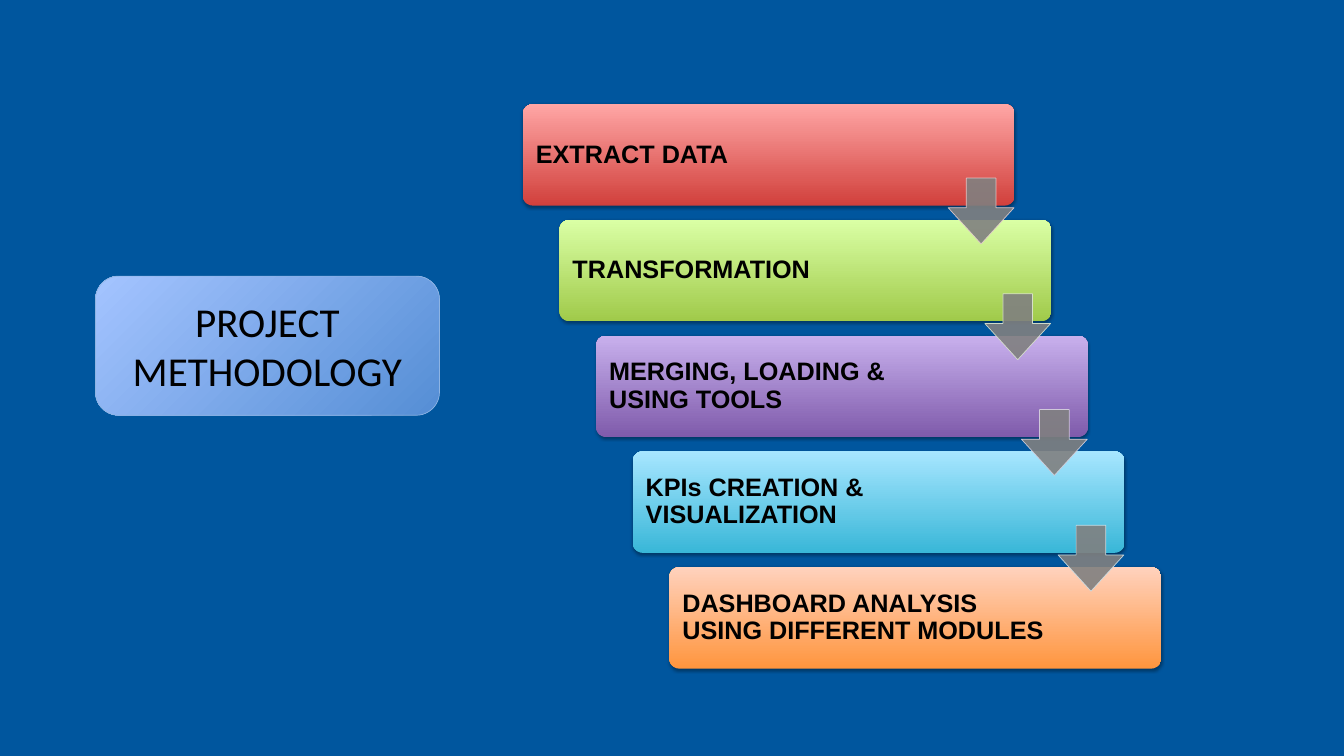
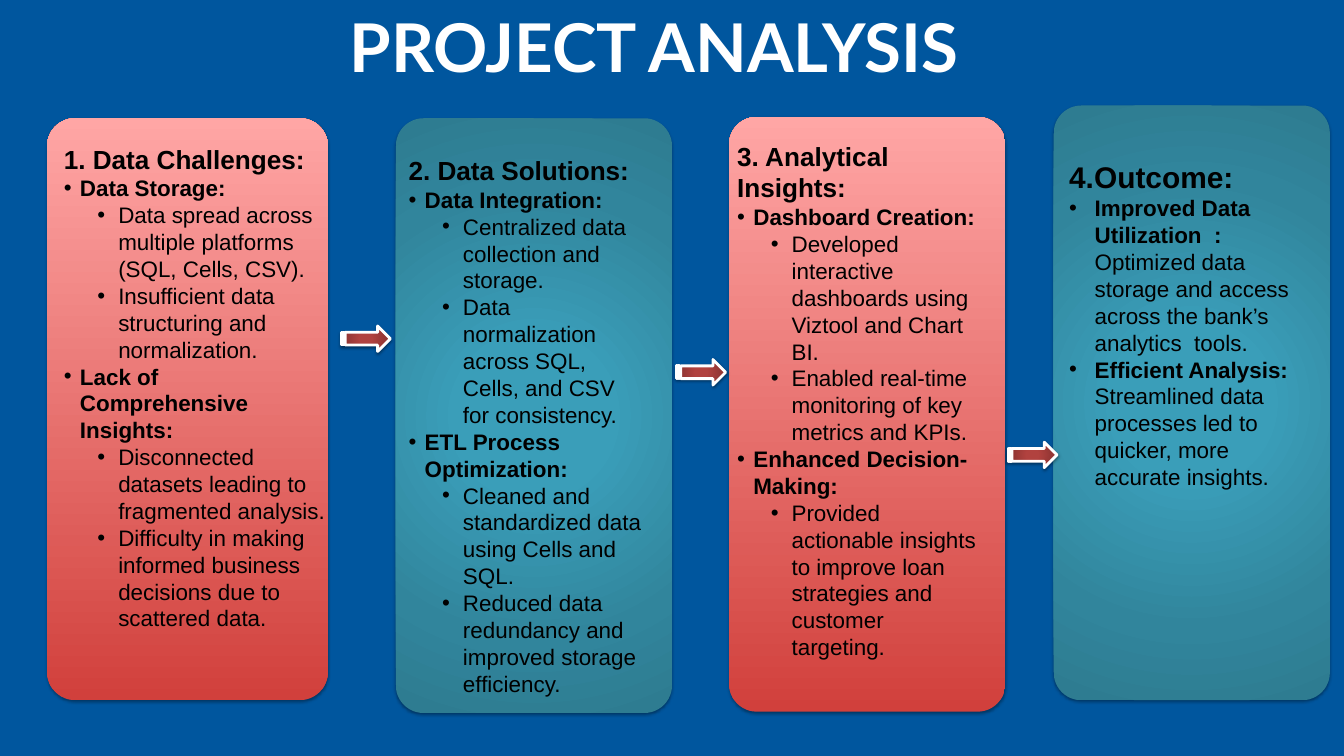
from dataclasses import dataclass

from pptx import Presentation
from pptx.dml.color import RGBColor
from pptx.enum.shapes import MSO_SHAPE as SHAPE
from pptx.enum.text import MSO_ANCHOR as ANCHOR, MSO_AUTO_SIZE as AUTO, PP_ALIGN as ALIGN
from pptx.oxml import parse_xml
from pptx.oxml.ns import nsdecls, qn
from pptx.util import Emu, Inches, Pt


@dataclass(frozen=True)
class Theme:
    background: str = "00569E"
    ink: str = "000000"
    white: str = "FFFFFF"
    gray: str = "808080"
    panel_line: str = "8EB4E3"
    panel: tuple = ((0, "558ED5"), (100, "A4C4FF"))
    red: tuple = ((0, "D1403C"), (100, "FFA6A5"))
    green: tuple = ((0, "A0CA4A"), (100, "DAFFA5"))
    purple: tuple = ((0, "7F5BAB"), (100, "C8B0ED"))
    blue: tuple = ((0, "39B7D8"), (100, "A7E6FF"))
    orange: tuple = ((0, "FF953E"), (100, "FFD2BD"))
    teal: tuple = ((0, "3A9EB9"), (23, "3A9EB9"), (69, "31859C"), (97, "2E7C91"))
    brick: tuple = ((0, "B1423F"), (23, "B1423F"), (69, "953735"), (97, "8B3431"))
    body_font: str = "Arial"
    panel_title: int = 44
    slide_title: int = 72
    step: int = 27
    item: int = 24


T = Theme()
UP, DIAGONAL, RADIAL = 270, 225, None

# text, gradient, line colour of the arrow that follows
STEPS = [
    ("EXTRACT DATA", T.red, "E8D0D0"),
    ("TRANSFORMATION", T.green, "DEE7D1"),
    ("MERGING, LOADING & USING TOOLS", T.purple, "D8D3E0"),
    ("KPIs CREATION & VISUALIZATION", T.blue, "D0E3EA"),
    ("DASHBOARD ANALYSIS USING DIFFERENT MODULES", T.orange, None),
]

# Each list line is (style, bold text, regular text)
CARDS = [
    dict(card=(0.7, 1.76, 4.18, 8.66), text=(0.85, 2.08, 4.11, 6.97),
         fill=(T.red, UP), heading=("1. Data Challenges:", 28), items=[
             ("topic", "Data Storage:", ""),
             ("detail", "", "Data spread across multiple platforms (SQL, Cells, CSV)."),
             ("detail", "", "Insufficient data structuring and normalization."),
             ("topic", "Lack of Comprehensive Insights:", ""),
             ("detail", "", "Disconnected datasets leading to fragmented analysis."),
             ("detail", "", "Difficulty in making informed business decisions "
                            "due to scattered data.")]),
    dict(card=(5.89, 1.76, 4.11, 8.85), text=(5.98, 2.25, 3.75, 8.18),
         fill=(T.teal, RADIAL), heading=("2. Data Solutions:", 28), items=[
             ("topic", "Data Integration:", ""),
             ("detail", "", "Centralized data collection and storage."),
             ("detail", "", "Data normalization across SQL, Cells, and CSV for consistency."),
             ("topic", "ETL Process Optimization:", ""),
             ("detail", "", "Cleaned and standardized data using Cells and SQL."),
             ("detail", "", "Reduced data redundancy and improved storage efficiency.")]),
    dict(card=(10.85, 1.74, 4.11, 8.85), text=(10.87, 2.04, 3.86, 7.91),
         fill=(T.red, UP), heading=("3. Analytical Insights:", 28), items=[
             ("topic", "Dashboard Creation:", ""),
             ("detail", "", "Developed interactive dashboards using Viztool and Chart BI."),
             ("detail", "", "Enabled real-time monitoring of key metrics and KPIs."),
             ("topic", "Enhanced Decision-Making:", ""),
             ("detail", "", "Provided actionable insights to improve loan strategies "
                            "and customer targeting.")]),
    dict(card=(15.68, 1.57, 4.11, 8.85), text=(15.81, 2.31, 3.49, 5.08),
         fill=(T.teal, RADIAL), heading=("4.Outcome:", 32), items=[
             ("outcome", "Improved Data Utilization  : ",
              "Optimized data storage and access across the bank’s analytics  tools."),
             ("outcome", "Efficient Analysis: ",
              "Streamlined data processes led to quicker, more accurate insights.")]),
]
CARD_ARROWS = [(5.08, 4.85), (10.07, 5.35), (15, 6.58)]

# style: (level, left margin, hanging indent)
INDENTS = {"heading": (0, 0, 0), "topic": (0, 0.24, 0.24),
           "detail": (1, 0.81, 0.31), "outcome": (0, 0.38, 0.38)}


def rgb(color):
    return RGBColor.from_string(color)


def place(sp, box):
    for name, value in zip(("left", "top", "width", "height"), box):
        setattr(sp, name, Inches(value))


def add_gradient(sp, stops, angle):
    """Fill with the stops: linear at a clockwise angle, or from the centre if it is None."""
    gs = "".join(f'<a:gs pos="{pos * 1000}"><a:srgbClr val="{color}"/></a:gs>'
                 for pos, color in stops)
    if angle is RADIAL:
        way = ('<a:path path="circle"><a:fillToRect l="50000" t="50000" '
               'r="50000" b="50000"/></a:path>')
    else:
        way = f'<a:lin ang="{angle * 60000}" scaled="0"/>'
    sp.fill.background()
    spPr = sp.element.spPr
    spPr.replace(spPr.find(qn("a:noFill")), parse_xml(
        f'<a:gradFill {nsdecls("a")} rotWithShape="1"><a:gsLst>{gs}</a:gsLst>{way}</a:gradFill>'))


def add_shadow(sp, alpha=35, distance=1.8):
    sp.element.spPr.find(qn("a:effectLst")).append(parse_xml(
        f'<a:outerShdw {nsdecls("a")} blurRad="{Pt(3.1)}" dist="{Pt(distance)}" '
        f'dir="5400000" rotWithShape="0"><a:srgbClr val="000000">'
        f'<a:alpha val="{alpha * 1000}"/></a:srgbClr></a:outerShdw>'))


def set_alpha(sp, percent):
    for color in sp.element.spPr.iter(qn("a:srgbClr")):
        color.append(parse_xml(f'<a:alpha {nsdecls("a")} val="{percent * 1000}"/>'))


def add_shape(s, kind, box, adjustments=(), line=None, line_width=0.75):
    sp = s.shapes.add_shape(kind, *map(Inches, box))
    sp.shadow.inherit = False
    for i, value in enumerate(adjustments):
        sp.adjustments[i] = value
    if line:
        sp.line.color.rgb = rgb(line)
        sp.line.width = Pt(line_width)
    else:
        sp.line.fill.background()
    return sp


def add_card(s, box, stops, angle):
    sp = add_shape(s, SHAPE.ROUNDED_RECTANGLE, box, [0.1])
    add_gradient(sp, stops, angle)
    add_shadow(sp)
    return sp


def add_run(p, text, size, bold=True, font=T.body_font, color=T.ink):
    r = p.add_run()
    r.text = text
    for name, value in dict(name=font, size=Pt(size), bold=bold).items():
        setattr(r.font, name, value)
    r.font.color.rgb = rgb(color)


def use_placeholder(s, ph, box, anchor):
    """Move a placeholder in front of the shapes drawn so far; return its text frame."""
    place(ph, box)
    s.shapes.element.append(ph.element)
    tf = ph.text_frame
    for name, value in dict(word_wrap=True, auto_size=AUTO.NONE,
                            vertical_anchor=anchor).items():
        setattr(tf, name, value)
    return tf


def set_title(s, text, box, **font):
    p = use_placeholder(s, s.shapes.title, box, ANCHOR.MIDDLE).paragraphs[0]
    p.alignment = ALIGN.CENTER
    add_run(p, text, **font)


def add_line(p, style, size, bold_text, regular_text=""):
    level, margin, hanging = INDENTS[style]
    p.level = level
    p.alignment = ALIGN.LEFT
    p.space_before = p.space_after = Pt(0)
    pPr = p._p.get_or_add_pPr()
    pPr.set("marL", str(Inches(margin)))
    pPr.set("indent", str(-Inches(hanging)))
    if hanging:
        bullet = (f'<a:buClr {{0}}><a:srgbClr val="{T.ink}"/></a:buClr>',
                  f'<a:buFont {{0}} typeface="{T.body_font}"/>', '<a:buChar {0} char="•"/>')
    else:
        bullet = ('<a:buNone {0}/>',)
    for xml in bullet:
        pPr.append(parse_xml(xml.format(nsdecls("a"))))
    for text, bold in ((bold_text, True), (regular_text, False)):
        if text:
            add_run(p, text, size, bold)


def build_methodology(prs):
    s = prs.slides.add_slide(prs.slide_layouts[5])
    panel_box = (1.42, 4.11, 5.12, 2.07)
    panel = add_shape(s, SHAPE.ROUNDED_RECTANGLE, panel_box, line=T.panel_line)
    add_gradient(panel, T.panel, DIAGONAL)
    set_title(s, "PROJECT METHODOLOGY", panel_box,
              size=T.panel_title, bold=False, font="Calibri")

    dx, dy = 0.545, 1.7225
    for i, (text, stops, _) in enumerate(STEPS):
        sp = add_card(s, (7.78 + i * dx, 1.55 + i * dy, 7.32, 1.51), stops, UP)
        tf = sp.text_frame
        for name, value in dict(margin_left=0.15, margin_right=1.69,
                                margin_top=0.15, margin_bottom=0.15).items():
            setattr(tf, name, Inches(value))
        tf.word_wrap = True
        tf.vertical_anchor = ANCHOR.MIDDLE
        p = tf.paragraphs[0]
        p.alignment = ALIGN.LEFT
        p.line_spacing = 0.9
        add_run(p, text, T.step)

    for i, (_, _, line) in enumerate(STEPS[:-1]):
        arrow = add_shape(s, SHAPE.DOWN_ARROW, (14.11 + i * dx, 2.65 + i * dy, 0.98, 0.98),
                          [0.45, 0.55], line)
        arrow.fill.solid()
        arrow.fill.fore_color.rgb = rgb(T.gray)
        set_alpha(arrow, 90)


def build_analysis(prs):
    s = prs.slides.add_slide(prs.slide_layouts[4])
    lists = [ph for ph in s.placeholders if ph.placeholder_format.idx in range(1, 5)]
    for ph, card in zip(lists, CARDS):
        add_card(s, card["card"], *card["fill"])
        tf = use_placeholder(s, ph, card["text"], ANCHOR.TOP)
        heading, size = card["heading"]
        add_line(tf.paragraphs[0], "heading", size, heading)
        for style, bold_text, regular_text in card["items"]:
            add_line(tf.add_paragraph(), style, T.item, bold_text, regular_text)
    set_title(s, "PROJECT ANALYSIS", (3.12, 0.03, 13.22, 1.31),
              size=T.slide_title, font="Lato", color=T.white)
    for x, y in CARD_ARROWS:
        arrow = add_shape(s, SHAPE.STRIPED_RIGHT_ARROW, (x, y, 0.73, 0.38),
                          line=T.white, line_width=3)
        add_gradient(arrow, T.brick, RADIAL)
        add_shadow(arrow, 38, 1.6)


def main():
    prs = Presentation()
    prs.slide_width, prs.slide_height = Inches(20), Inches(11.25)
    fill = prs.slide_master.background.fill
    fill.solid()
    fill.fore_color.rgb = rgb(T.background)
    build_methodology(prs)
    build_analysis(prs)
    prs.save("out.pptx")


if __name__ == "__main__":
    main()
